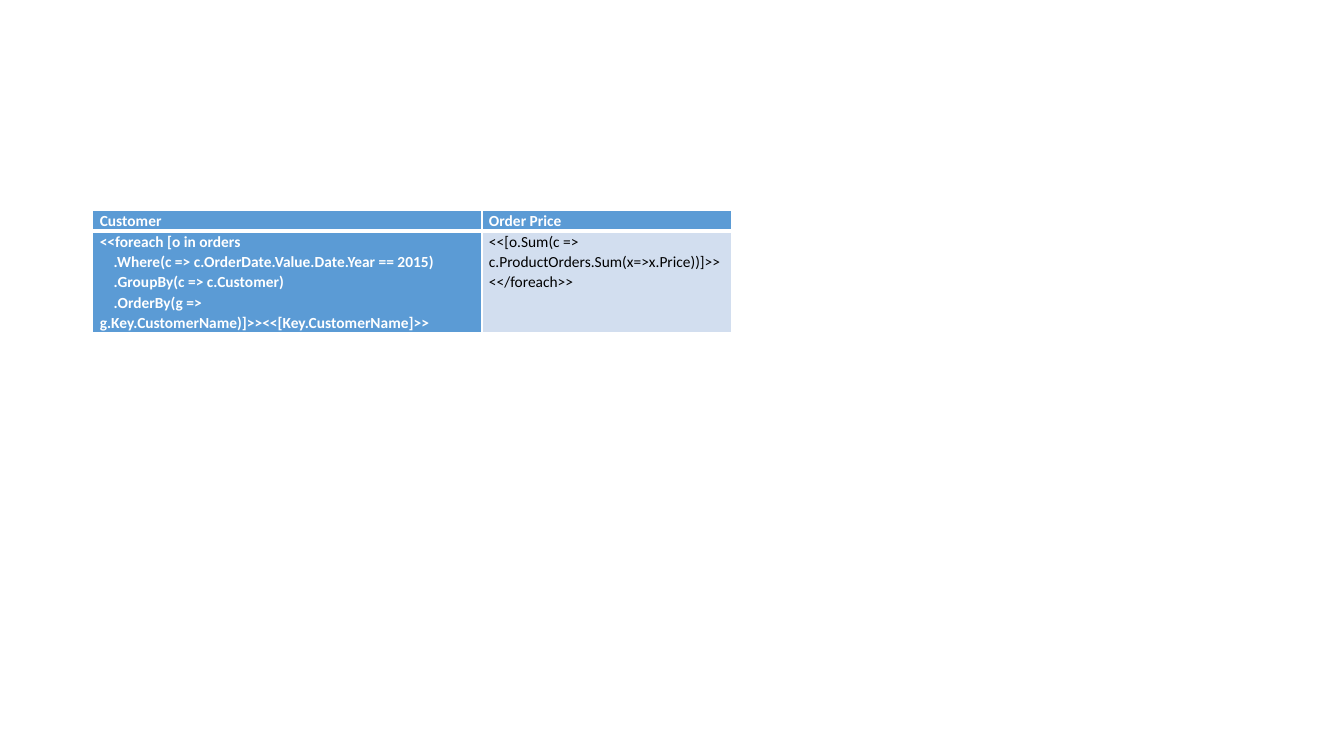
from lxml.etree import SubElement
from pptx import Presentation
from pptx.dml.color import RGBColor
from pptx.oxml.ns import qn
from pptx.util import Inches, Pt

WHITE = RGBColor(0xFF, 0xFF, 0xFF)
BLACK = RGBColor(0x00, 0x00, 0x00)
BLUE = RGBColor(0x5B, 0x9B, 0xD5)
PALE_BLUE = RGBColor(0xD2, 0xDE, 0xEF)

COLUMN_WIDTHS = (3.86, 2.48)
ROW_HEIGHTS = (0.2, 1.0)
THIN, THICK = Pt(1), Pt(3)

HEADING_FONT = {"name": "Calibri", "size": Pt(11), "bold": True}
BODY_FONT = {"name": "Calibri", "size": Pt(11), "bold": False}
CELL_MARGINS = {
    "margin_left": Inches(0.07),
    "margin_right": Inches(0.07),
    "margin_top": 0,
    "margin_bottom": 0,
}

ORDER_ROWS = (
    (("Customer",), ("Order Price",)),
    (
        (
            "<<foreach [o in orders",
            "    .Where(c => c.OrderDate.Value.Date.Year == 2015)",
            "    .GroupBy(c => c.Customer)",
            "    .OrderBy(g => g.Key.CustomerName)]>><<[Key.CustomerName]>>",
        ),
        ("<<[o.Sum(c => c.ProductOrders.Sum(x=>x.Price))]>><</foreach>>",),
    ),
)


def set_attributes(target, values):
    """Set each named attribute on the target."""
    for name, value in values.items():
        setattr(target, name, value)


def set_borders(cell, widths):
    """Give the cell solid white borders of the given widths."""
    properties = cell._tc.get_or_add_tcPr()
    for side, width in widths.items():
        line = SubElement(properties, qn(f"a:ln{side}"), w=str(width))
        fill = SubElement(line, qn("a:solidFill"))
        SubElement(fill, qn("a:srgbClr"), val=str(WHITE))


def fill_cell(cell, lines, font_values, font_color, fill_color):
    """Write the lines into the cell and colour it."""
    set_attributes(cell, CELL_MARGINS)
    cell.fill.solid()
    cell.fill.fore_color.rgb = fill_color
    cell.text_frame.text = "\n".join(lines)
    for paragraph in cell.text_frame.paragraphs:
        paragraph.line_spacing = 1.07
        for run in paragraph.runs:
            set_attributes(run.font, font_values)
            run.font.color.rgb = font_color


def add_order_table(slide):
    """Add the table of customers and order prices."""
    shape = slide.shapes.add_table(
        len(ROW_HEIGHTS), len(COLUMN_WIDTHS), Inches(0.92), Inches(2.09),
        Inches(sum(COLUMN_WIDTHS)), Inches(sum(ROW_HEIGHTS)))
    table = shape.table
    for column, width in zip(table.columns, COLUMN_WIDTHS):
        column.width = Inches(width)
    for row, height in zip(table.rows, ROW_HEIGHTS):
        row.height = Inches(height)
    for row_index, row in enumerate(ORDER_ROWS):
        is_header = row_index == 0
        borders = {
            "L": THIN,
            "R": THIN,
            "T": THIN if is_header else THICK,
            "B": THICK if is_header else THIN,
        }
        for column_index, lines in enumerate(row):
            cell = table.cell(row_index, column_index)
            set_borders(cell, borders)
            if is_header or column_index == 0:
                fill_cell(cell, lines, HEADING_FONT, WHITE, BLUE)
            else:
                fill_cell(cell, lines, BODY_FONT, BLACK, PALE_BLUE)


def main():
    """Build and save the presentation."""
    presentation = Presentation()
    presentation.slide_width = Inches(13.33)
    presentation.slide_height = Inches(7.5)
    slide = presentation.slides.add_slide(presentation.slide_layouts[6])
    add_order_table(slide)
    presentation.save("out.pptx")


if __name__ == "__main__":
    main()
